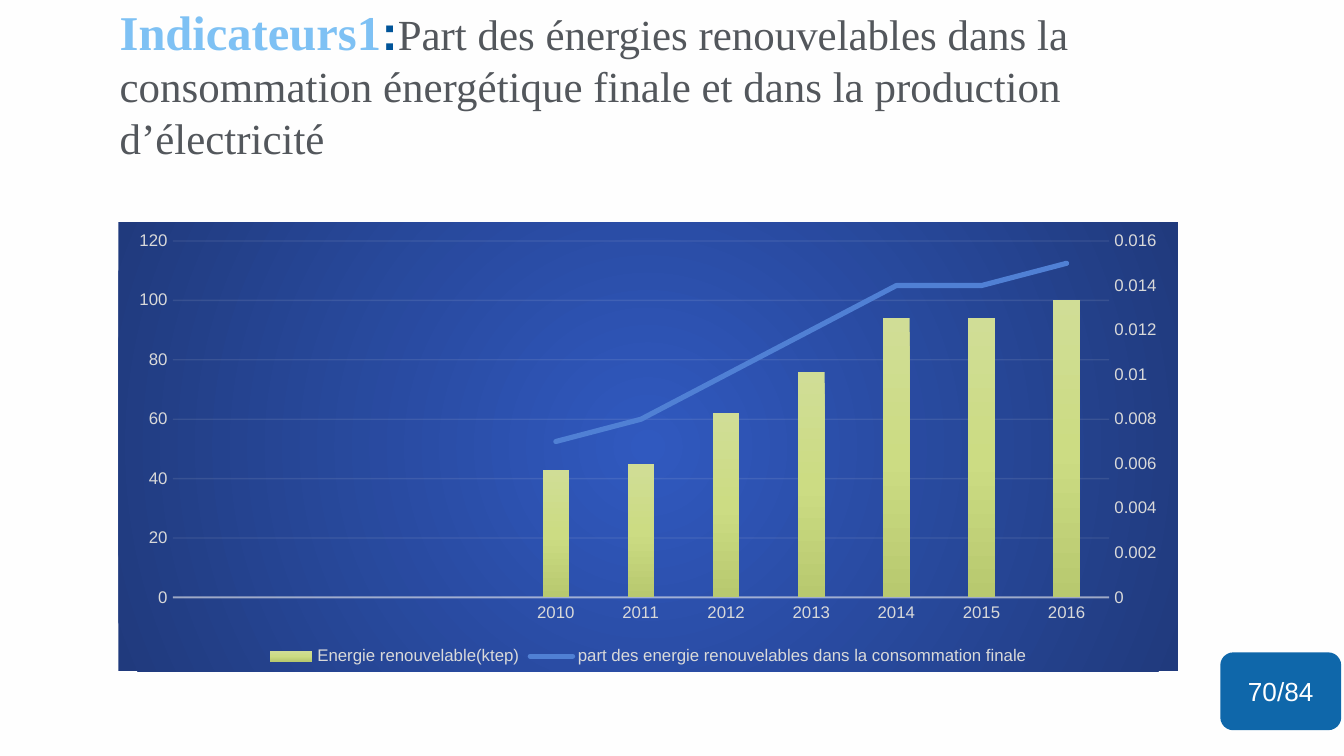
"""Build a slide with a heading, a column and line chart, and a page badge."""
from collections import namedtuple
from copy import deepcopy

from pptx import Presentation
from pptx import util as u
from pptx.chart import axis as ax
from pptx.chart import data as cd
from pptx.dml.color import RGBColor
from pptx.enum import chart as ch, shapes, text
from pptx.oxml import ns, parse_xml

Box = namedtuple("Box", "left top width height")

WIDTH = u.Inches(10)
HEIGHT = WIDTH * 9 // 16
PAPER = RGBColor(0xFE, 0xFE, 0xFE)
WHITE = RGBColor(0xFF, 0xFF, 0xFF)
SKY = RGBColor(0x7E, 0xC1, 0xF4)
NAVY = RGBColor(0x00, 0x54, 0x99)
SLATE = RGBColor(0x53, 0x57, 0x5C)
BADGE = RGBColor(0x0F, 0x67, 0xAA)
LABEL = RGBColor(0xD9, 0xD9, 0xD9)
RULE = RGBColor(0xF2, 0xF2, 0xF2)
TREND = RGBColor(0x50, 0x80, 0xD4)
PANEL_STOPS = [(0, RGBColor(0x30, 0x59, 0xBF)), (100, RGBColor(0x20, 0x3A, 0x7D))]
COLUMN_STOPS = [
    (0, RGBColor(0xD0, 0xDD, 0x96)),
    (50, RGBColor(0xCC, 0xDC, 0x83)),
    (100, RGBColor(0xB8, 0xC9, 0x6F)),
]
RADIAL = ('<a:path path="circle"><a:fillToRect l="50000" t="50000" '
          'r="50000" b="50000"/></a:path>')
DOWNWARD = '<a:lin ang="5400000" scaled="0"/>'

HEADING = [
    ("Indicateurs1", "Times New Roman", 26, SKY, True),
    (":", "Arial", 26, NAVY, True),
    ("Part des énergies renouvelables dans la consommation énergétique finale "
     "et dans la production d’électricité", "Times New Roman", 23, SLATE, False),
]
BLANKS = 4
YEARS = [""] * BLANKS + [str(year) for year in range(2010, 2017)]
ENERGY = [None] * BLANKS + [43, 45, 62, 76, 94, 94, 100]
SHARE = [None] * BLANKS + [0.007, 0.008, 0.01, 0.012, 0.014, 0.014, 0.015]


def percent_box(left, top, width, height):
    """Return a box from percentages of the slide's size."""
    return Box(*(int(share * side / 100) for share, side in
                 zip((left, top, width, height), (WIDTH, HEIGHT) * 2)))


def style_font(font, name, size, colour, bold=False):
    """Set the face, size, colour and weight of a font."""
    font.name, font.size, font.bold = name, u.Pt(size), bold
    font.color.rgb = colour


def gradient(stops, shade):
    """Return a gradient fill element."""
    marks = "".join(f'<a:gs pos="{place * 1000}"><a:srgbClr val="{colour}"/></a:gs>'
                    for place, colour in stops)
    return parse_xml(f'<a:gradFill {ns.nsdecls("a")} rotWithShape="1">'
                     f"<a:gsLst>{marks}</a:gsLst>{shade}</a:gradFill>")


def style_rule(line, colour_path, owner, width, opacity):
    """Draw a pale, partly transparent rule."""
    line.color.rgb, line.width = RULE, u.Pt(width)
    for colour in owner.xpath(colour_path):
        colour.append(parse_xml(f'<a:alpha {ns.nsdecls("a")} val="{opacity * 1000}"/>'))


def style_axis(axis):
    """Give an axis its label font and hide its ticks."""
    axis.major_tick_mark = axis.minor_tick_mark = ch.XL_TICK_MARK.NONE
    style_font(axis.tick_labels.font, "Arial", 9, LABEL)


def scale_axis(axis, top, step):
    """Scale a value axis from zero to its top."""
    axis.minimum_scale, axis.maximum_scale, axis.major_unit = 0, top, step


def link_axis(axis, own, other):
    """Give an axis element its identifier and its crossing partner."""
    axis.find(ns.qn("c:axId")).set("val", own)
    axis.find(ns.qn("c:crossAx")).set("val", other)


def move_to_right_axis(chart):
    """Turn the second series into a line on a right-hand axis."""
    bars = chart.plots[0]
    series = bars.series[1]._element
    for flag in series.findall(ns.qn("c:invertIfNegative")):
        series.remove(flag)
    line_plot = parse_xml(
        f'<c:lineChart {ns.nsdecls("c")}><c:grouping val="standard"/>'
        '<c:varyColors val="0"/><c:marker val="1"/>'
        '<c:axId val="5001"/><c:axId val="5002"/></c:lineChart>')
    line_plot.insert(2, series)
    bars._element.addnext(line_plot)

    left, bottom = chart.value_axis._element, chart.category_axis._element
    right, hidden = deepcopy(left), deepcopy(bottom)
    left.addnext(right)
    right.addnext(hidden)
    link_axis(hidden, "5001", "5002")
    link_axis(right, "5002", "5001")
    hidden.find(ns.qn("c:delete")).set("val", "1")
    right.find(ns.qn("c:axPos")).set("val", "r")
    right.find(ns.qn("c:crosses")).set("val", "max")
    right_axis = ax.ValueAxis(right)
    right_axis.has_major_gridlines = False
    scale_axis(right_axis, 0.016, 0.002)


def add_heading(page, box):
    """Fill the title placeholder with the three-part heading."""
    title = page.shapes.title
    title.left, title.top, title.width, title.height = box
    frame = title.text_frame
    frame.word_wrap, frame.auto_size = True, text.MSO_AUTO_SIZE.NONE
    frame.vertical_anchor = text.MSO_ANCHOR.MIDDLE
    frame.margin_left = frame.margin_right = u.Inches(0.1)
    frame.margin_top = frame.margin_bottom = u.Inches(0.1)
    para = frame.paragraphs[0]
    para.alignment = text.PP_ALIGN.LEFT
    for words, *look in HEADING:
        span = para.add_run()
        span.text = words
        style_font(span.font, *look)


def add_energy_chart(page, box):
    """Add the columns of energy with the line of its share."""
    figures = cd.CategoryChartData()
    figures.categories = YEARS
    figures.add_series("Energie renouvelable(ktep)", ENERGY)
    figures.add_series("part des energie renouvelables dans la consommation finale", SHARE)
    chart = page.shapes.add_chart(ch.XL_CHART_TYPE.COLUMN_CLUSTERED, *box, figures).chart
    style_font(chart.font, "Arial", 10, LABEL)
    chart.has_title = False
    chart.has_legend = True
    chart.legend.position = ch.XL_LEGEND_POSITION.BOTTOM
    chart.legend.include_in_layout = False
    style_font(chart.legend.font, "Arial", 9, LABEL)

    years, values = chart.category_axis, chart.value_axis
    style_axis(years)
    style_axis(values)
    scale_axis(values, 120, 20)
    style_rule(years.format.line, "c:spPr//a:srgbClr", years._element, 1, 54)
    values.format.line.fill.background()
    style_rule(values.major_gridlines.format.line, "c:majorGridlines//a:srgbClr",
               values._element, 0.75, 10)
    move_to_right_axis(chart)

    bars, trend = chart.plots
    bars.gap_width, bars.overlap, bars.vary_by_categories = 219, -27, False
    bars.series[0]._element.get_or_add_spPr().insert(0, gradient(COLUMN_STOPS, DOWNWARD))
    curve = trend.series[0]
    curve.smooth = False
    curve.marker.style = ch.XL_MARKER_STYLE.NONE
    curve.format.line.color.rgb, curve.format.line.width = TREND, u.Pt(2.75)
    curve._element.xpath("c:spPr/a:ln")[0].set("cap", "rnd")

    panel = parse_xml(f'<c:spPr {ns.nsdecls("c", "a")}><a:ln><a:noFill/></a:ln></c:spPr>')
    panel.insert(0, gradient(PANEL_STOPS, RADIAL))
    chart._chartSpace.find(ns.qn("c:chart")).addnext(panel)


def add_page_badge(page, box):
    """Add the rounded badge with the page count."""
    badge = page.shapes.add_shape(shapes.MSO_SHAPE.ROUNDED_RECTANGLE, *box)
    badge.shadow.inherit = False
    badge.fill.solid()
    badge.fill.fore_color.rgb = BADGE
    badge.line.fill.background()
    frame = badge.text_frame
    frame.text = "70/84"
    frame.vertical_anchor = text.MSO_ANCHOR.MIDDLE
    para = frame.paragraphs[0]
    para.alignment = text.PP_ALIGN.CENTER
    style_font(para.runs[0].font, "Arial", 14, WHITE)


def main():
    """Build and save the deck."""
    deck = Presentation()
    deck.slide_width, deck.slide_height = WIDTH, HEIGHT
    page = deck.slides.add_slide(deck.slide_layouts[5])
    page.background.fill.solid()
    page.background.fill.fore_color.rgb = PAPER
    add_heading(page, percent_box(7.9, 2, 84.3, 17.8))
    add_energy_chart(page, percent_box(8.8, 29.4, 78.84, 59.4))
    add_page_badge(page, percent_box(90.8, 86.3, 9, 10.3))
    deck.save("out.pptx")


if __name__ == "__main__":
    main()
